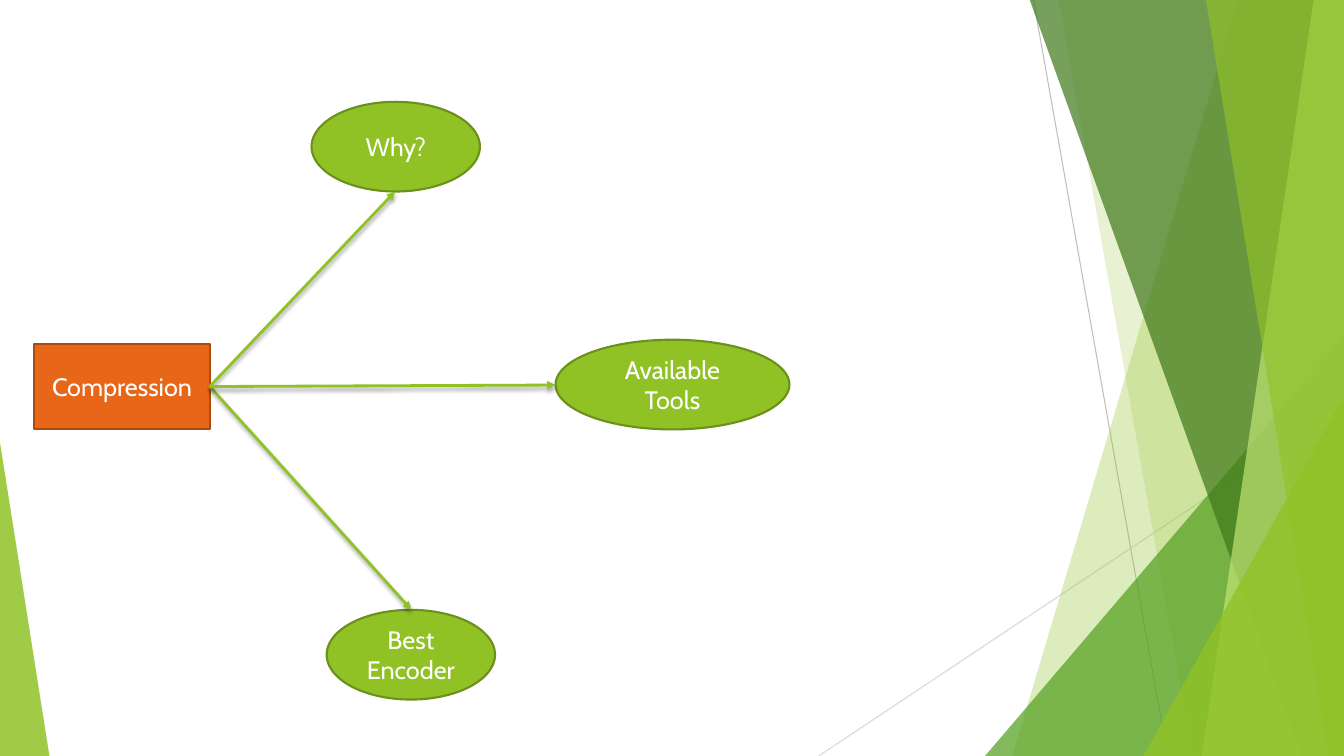
from lxml.etree import SubElement
from pptx import Presentation
from pptx.dml.color import RGBColor
from pptx.enum.shapes import MSO_CONNECTOR, MSO_SHAPE
from pptx.enum.text import MSO_ANCHOR, PP_ALIGN
from pptx.oxml.ns import qn
from pptx.util import Pt

PX = 9144
WIDTH, HEIGHT = 1333, 750
RIGHT_SITE = 3

WHITE = RGBColor(0xFF, 0xFF, 0xFF)
BLACK = RGBColor(0x00, 0x00, 0x00)
GREY = RGBColor(0xBF, 0xBF, 0xBF)
LIGHT_GREY = RGBColor(0xD9, 0xD9, 0xD9)
LIME = RGBColor(0x90, 0xC2, 0x26)
LIME_EDGE = RGBColor(0x6B, 0x90, 0x1C)
PALE_LIME = RGBColor(0xC0, 0xE4, 0x74)
GREEN = RGBColor(0x54, 0xA0, 0x21)
DARK_GREEN = RGBColor(0x3F, 0x78, 0x19)
ORANGE = RGBColor(0xE7, 0x66, 0x18)
ORANGE_EDGE = RGBColor(0xAB, 0x4B, 0x12)


def px(*lengths):
    return [length * PX for length in lengths]


def fill_glass(s, color, opacity):
    s.shadow.inherit = False
    s.fill.solid()
    s.fill.fore_color.rgb = color
    s.line.fill.background()
    clr = s.fill._xPr.find(qn("a:solidFill"))[0]
    SubElement(clr, qn("a:alpha"), val=str(opacity * 1000))


def add_band(shapes, top_x, bottom_x, color, opacity):
    builder = shapes.build_freeform(*px(top_x, -1), scale=1.0)
    corners = [(WIDTH, -1), (WIDTH, HEIGHT), (bottom_x, HEIGHT)]
    builder.add_line_segments([px(*corner) for corner in corners], close=True)
    fill_glass(builder.convert_to_shape(), color, opacity)


def add_triangle(shapes, box, peak, color, opacity):
    s = shapes.add_shape(MSO_SHAPE.ISOSCELES_TRIANGLE, *px(*box))
    s.adjustments[0] = peak
    fill_glass(s, color, opacity)


def add_line(shapes, start, end, color, width):
    s = shapes.add_connector(MSO_CONNECTOR.STRAIGHT, *px(*start, *end))
    s.line.color.rgb = color
    s.line.width = Pt(width)
    effects = SubElement(s._element.spPr, qn("a:effectLst"))
    return s, effects


def add_arrow(shapes, source, end):
    s, effects = add_line(shapes, (208, 384), end, LIME, 2)
    s.begin_connect(source, RIGHT_SITE)
    SubElement(s.line._get_or_add_ln(), qn("a:tailEnd"), type="triangle")
    shadow = SubElement(effects, qn("a:outerShdw"), blurRad=str(Pt(3)),
                        dist=str(Pt(2)), dir="5400000", rotWithShape="0")
    clr = SubElement(shadow, qn("a:srgbClr"), val=str(BLACK))
    SubElement(clr, qn("a:alpha"), val="35000")


def add_node(shapes, kind, box, text, fill, edge):
    s = shapes.add_shape(kind, *px(*box))
    s.shadow.inherit = False
    s.fill.solid()
    s.fill.fore_color.rgb = fill
    s.line.color.rgb = edge
    s.line.width = Pt(1.5)
    tf = s.text_frame
    tf.text = text
    tf.word_wrap = True
    tf.vertical_anchor = MSO_ANCHOR.MIDDLE
    p = tf.paragraphs[0]
    p.alignment = PP_ALIGN.CENTER
    font = p.runs[0].font
    font.name = "Cabin"
    font.size = Pt(18)
    font.color.rgb = WHITE
    return s


def add_backdrop(shapes):
    add_line(shapes, (1025, 0), (1158, HEIGHT), GREY, 0.75)
    add_line(shapes, (WIDTH, 403), (812, HEIGHT), LIGHT_GREY, 0.75)
    add_band(shapes, 1228, 1004, LIME, 30)
    add_band(shapes, 1050, 1183, LIME, 20)
    add_triangle(shapes, (977, 333, 356, 417), 1, GREEN, 72)
    add_band(shapes, 1021, 1291, DARK_GREEN, 70)
    add_band(shapes, 1303, 1192, PALE_LIME, 70)
    add_band(shapes, 1196, 1318, LIME, 65)
    add_triangle(shapes, (1134, 393, 199, 357), 1, LIME, 80)
    add_triangle(shapes, (0, 439, 49, 311), 0, LIME, 85)


def main():
    prs = Presentation()
    prs.slide_width, prs.slide_height = px(WIDTH, HEIGHT)
    shapes = prs.slides.add_slide(prs.slide_layouts[6]).shapes
    add_backdrop(shapes)
    compression = add_node(shapes, MSO_SHAPE.RECTANGLE, (34, 341, 174, 85),
                           "Compression", ORANGE, ORANGE_EDGE)
    topics = [
        ("Why?", (309, 101, 167, 89)),
        ("Available Tools", (551, 337, 232, 89)),
        ("Best Encoder", (324, 605, 167, 89)),
    ]
    for text, box in topics:
        add_node(shapes, MSO_SHAPE.OVAL, box, text, LIME, LIME_EDGE)
    for end in [(408, 605), (392, 190), (551, 382)]:
        add_arrow(shapes, compression, end)
    prs.save("out.pptx")


if __name__ == "__main__":
    main()
